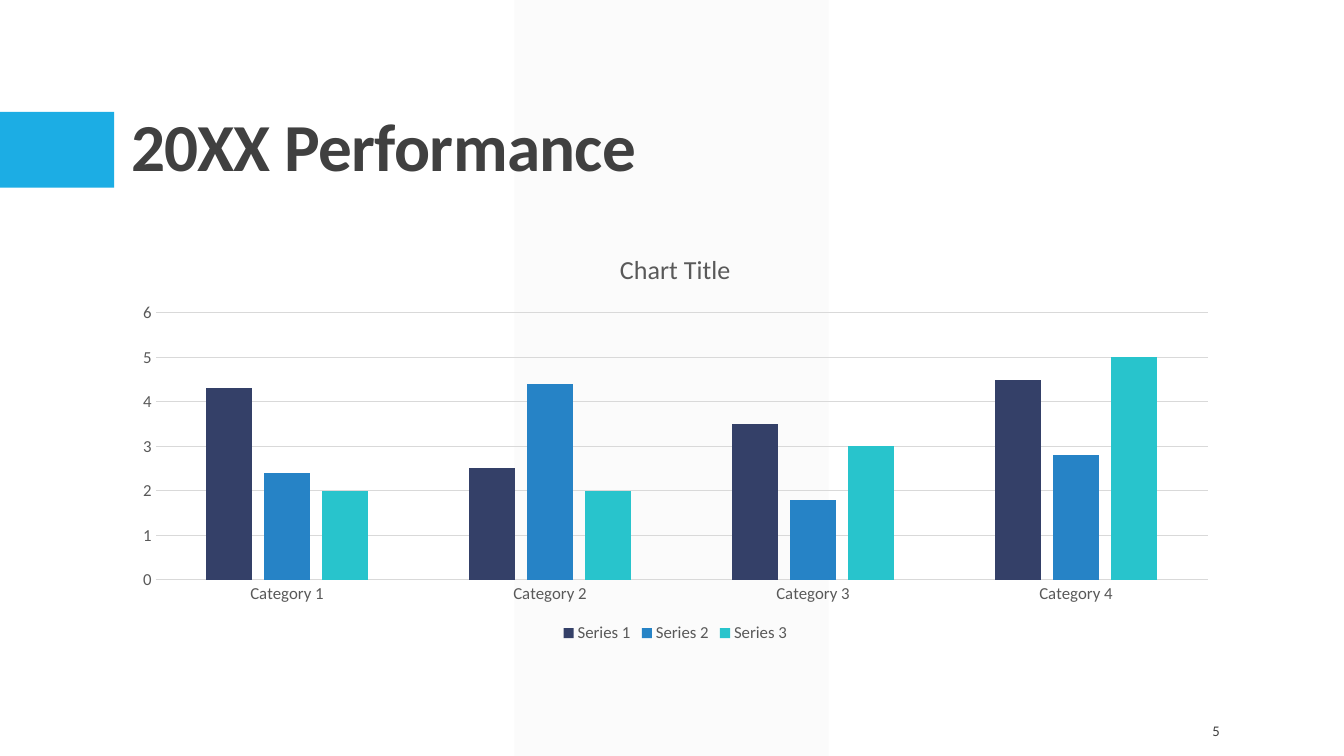
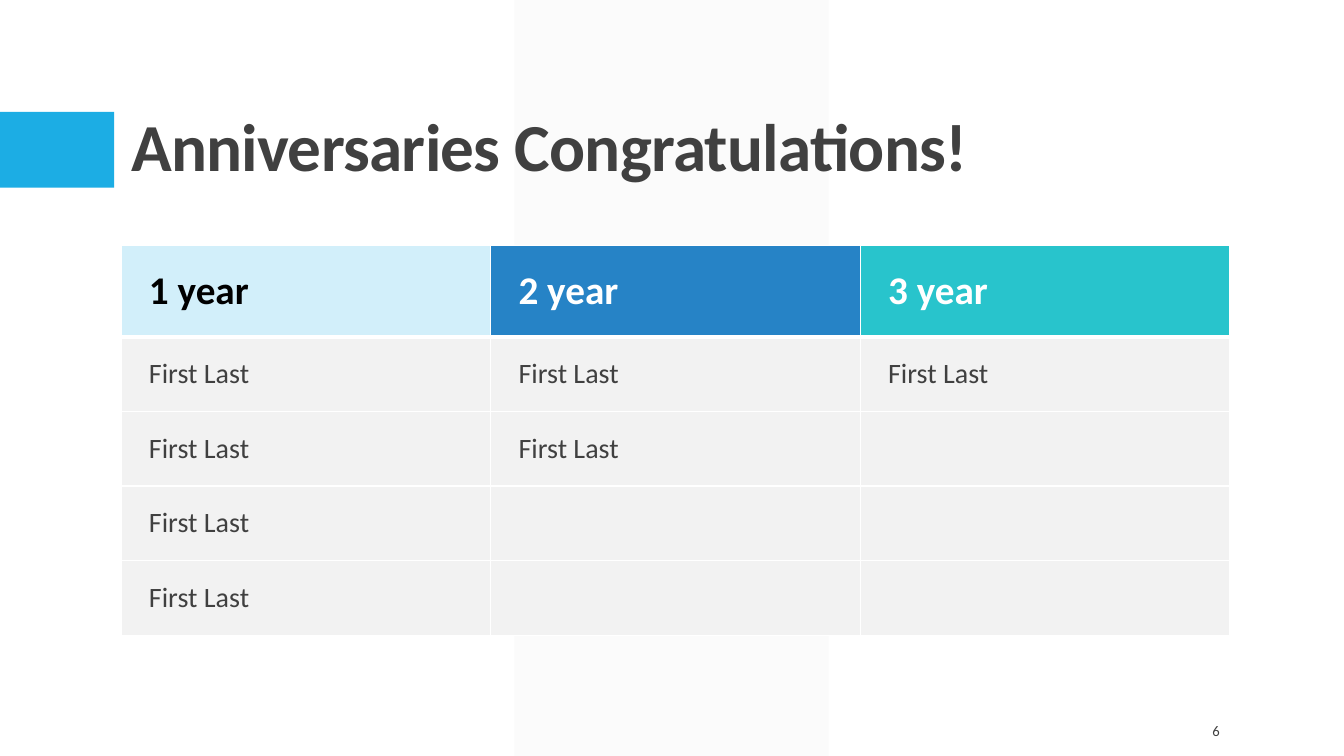
from collections import namedtuple
from dataclasses import dataclass

from lxml.etree import SubElement
from pptx import Presentation
from pptx.chart.data import CategoryChartData
from pptx.dml.color import RGBColor
from pptx.enum.chart import XL_CHART_TYPE as ChartType
from pptx.enum.chart import XL_LEGEND_POSITION as LegendPosition
from pptx.enum.chart import XL_TICK_MARK as TickMark
from pptx.enum.shapes import MSO_SHAPE as Preset
from pptx.enum.text import MSO_ANCHOR as Anchor
from pptx.enum.text import MSO_AUTO_SIZE as AutoSize
from pptx.enum.text import PP_ALIGN as Align
from pptx.oxml import parse_xml
from pptx.oxml.ns import nsdecls, qn
from pptx.util import Pt

Box = namedtuple("Box", "left top width height")


@dataclass(frozen=True)
class Theme:
    """Colours, font and type sizes shared by all slides."""

    font: str = "Calibri"
    ink: str = "404040"
    muted: str = "595959"
    rule: str = "D9D9D9"
    white: str = "FFFFFF"
    black: str = "000000"
    panel: str = "F2F2F2"
    accent: str = "1CADE4"
    pale: str = "D2EFFA"
    navy: str = "344068"
    blue: str = "2683C6"
    teal: str = "28C4CC"
    title_size: float = 48
    header_size: float = 28
    body_size: float = 20
    chart_title_size: float = 18.6
    chart_size: float = 12
    number_size: float = 10.5


THEME = Theme()
SLIDE = Box(0, 0, 960, 540)
BAND = Box(367.5, 0, 224.5, 540)
TAB = Box(0, 80, 81.5, 54)
TITLE = Box(86.4, 22.3, 792, 114.5)
CHART = Box(86.4, 166.3, 792, 296)
TABLE = Box(86.4, 175.2, 792, 278.6)
NUMBER = Box(817.2, 507.6, 61.2, 28.8)

CATEGORIES = ["Category 1", "Category 2", "Category 3", "Category 4"]
SERIES = [
    ("Series 1", (4.3, 2.5, 3.5, 4.5), THEME.navy),
    ("Series 2", (2.4, 4.4, 1.8, 2.8), THEME.blue),
    ("Series 3", (2, 2, 3, 5), THEME.teal),
]
ANNIVERSARIES = [
    ("1 year", THEME.pale, THEME.black, ["First Last"] * 4),
    ("2 year", THEME.blue, THEME.white, ["First Last"] * 2),
    ("3 year", THEME.teal, THEME.white, ["First Last"]),
]


def points(box):
    """Convert a box to lengths in points."""
    return [Pt(length) for length in box]


def style_font(font, size, color, bold=False):
    """Apply the theme font with a size and colour."""
    font.name = THEME.font
    font.size = Pt(size)
    font.bold = bold
    font.color.rgb = RGBColor.from_string(color)


def paint(fill, color):
    """Make a fill solid."""
    fill.solid()
    fill.fore_color.rgb = RGBColor.from_string(color)


def add_run(paragraph, text, size, color, bold=False):
    """Append one formatted run."""
    run = paragraph.add_run()
    run.text = text
    style_font(run.font, size, color, bold)
    return run


def add_block(slide, box, color, opacity=100):
    """Add a plain rectangle, optionally translucent."""
    block = slide.shapes.add_shape(Preset.RECTANGLE, *points(box))
    block.shadow.inherit = False
    block.line.fill.background()
    paint(block.fill, color)
    if opacity < 100:
        swatch = block.fill._xPr.find(".//" + qn("a:srgbClr"))
        SubElement(swatch, qn("a:alpha")).set("val", str(opacity * 1000))


def place_title(slide, box, text):
    """Format the title placeholder and bring it in front of the bands."""
    title = slide.shapes.title
    title.left, title.top, title.width, title.height = points(box)
    slide.shapes._spTree.append(title._element)
    frame = title.text_frame
    frame.auto_size = AutoSize.NONE
    frame.word_wrap = True
    frame.vertical_anchor = Anchor.BOTTOM
    paragraph = frame.paragraphs[0]
    paragraph.alignment = Align.LEFT
    paragraph.line_spacing = 0.9
    run = add_run(paragraph, text, THEME.title_size, THEME.ink, True)
    run.font._element.set("spc", "-50")


def add_number(slide, box, number):
    """Add the slide number at the right of its box."""
    frame = slide.shapes.add_textbox(*points(box)).text_frame
    frame.word_wrap = True
    frame.vertical_anchor = Anchor.MIDDLE
    paragraph = frame.paragraphs[0]
    paragraph.alignment = Align.RIGHT
    add_run(paragraph, str(number), THEME.number_size, THEME.ink)


def add_titled_slide(presentation, title, number):
    """Add a slide with the shared bands, title and number."""
    slide = presentation.slides.add_slide(presentation.slide_layouts[5])
    paint(slide.background.fill, THEME.white)
    add_block(slide, BAND, THEME.panel, opacity=30)
    add_block(slide, TAB, THEME.accent)
    place_title(slide, TITLE, title)
    add_number(slide, NUMBER, number)
    return slide


def style_line(line, color):
    """Apply a thin chart line."""
    line.width = Pt(0.75)
    line.color.rgb = RGBColor.from_string(color)


def add_performance_chart(slide, box):
    """Add the clustered column chart."""
    data = CategoryChartData()
    data.categories = CATEGORIES
    for name, values, _ in SERIES:
        data.add_series(name, values)
    chart = slide.shapes.add_chart(
        ChartType.COLUMN_CLUSTERED, *points(box), data
    ).chart
    style_font(chart.font, THEME.chart_size, THEME.muted)
    chart.has_title = True
    heading = chart.chart_title.text_frame.paragraphs[0]
    add_run(heading, "Chart Title", THEME.chart_title_size, THEME.muted)
    chart.chart_title.include_in_layout = False
    chart.has_legend = True
    chart.legend.position = LegendPosition.BOTTOM
    chart.legend.include_in_layout = False
    style_font(chart.legend.font, THEME.chart_size, THEME.muted)

    for axis in (chart.category_axis, chart.value_axis):
        axis.major_tick_mark = axis.minor_tick_mark = TickMark.NONE
        style_font(axis.tick_labels.font, THEME.chart_size, THEME.muted)
    style_line(chart.category_axis.format.line, THEME.rule)
    scale = chart.value_axis
    scale.minimum_scale, scale.maximum_scale, scale.major_unit = 0, 6, 1
    scale.format.line.fill.background()
    style_line(scale.major_gridlines.format.line, THEME.rule)

    plot = chart.plots[0]
    plot.vary_by_categories = False
    plot.gap_width, plot.overlap = 219, -27
    for series, (_, _, color) in zip(plot.series, SERIES):
        paint(series.format.fill, color)


def set_borders(cell, top, bottom):
    """Draw white borders around a cell."""
    sides = {"lnL": 1, "lnR": 1, "lnT": top, "lnB": bottom}
    properties = cell._tc.get_or_add_tcPr()
    for position, (side, width) in enumerate(sides.items()):
        border = parse_xml(
            f'<a:{side} {nsdecls("a")} w="{Pt(width)}"><a:solidFill>'
            f'<a:srgbClr val="{THEME.white}"/></a:solidFill></a:{side}>'
        )
        properties.insert(position, border)


def fill_cell(cell, text, fill, size, color, bold):
    """Set the fill, margins and text of one cell."""
    paint(cell.fill, fill)
    cell.vertical_anchor = Anchor.MIDDLE
    cell.margin_left = cell.margin_right = Pt(20)
    cell.margin_top = cell.margin_bottom = Pt(6)
    if text:
        add_run(cell.text_frame.paragraphs[0], text, size, color, bold)


def add_anniversary_table(slide, box):
    """Add the table with one column for each anniversary."""
    row_count = 1 + max(len(names) for *_, names in ANNIVERSARIES)
    header_height = 65.4
    row_height = (box.height - header_height) / (row_count - 1)
    table = slide.shapes.add_table(
        row_count, len(ANNIVERSARIES), *points(box)
    ).table
    for row in range(row_count):
        table.rows[row].height = Pt(row_height if row else header_height)
    for column, (label, fill, color, names) in enumerate(ANNIVERSARIES):
        table.columns[column].width = Pt(box.width / len(ANNIVERSARIES))
        header = table.cell(0, column)
        fill_cell(header, label, fill, THEME.header_size, color, True)
        set_borders(header, 1, 3)
        for row in range(1, row_count):
            cell = table.cell(row, column)
            name = names[row - 1] if row <= len(names) else ""
            fill_cell(cell, name, THEME.panel, THEME.body_size, THEME.ink, False)
            set_borders(cell, 3 if row == 1 else 1, 1)


def main():
    """Build and save the presentation."""
    presentation = Presentation()
    presentation.slide_width = Pt(SLIDE.width)
    presentation.slide_height = Pt(SLIDE.height)
    performance = add_titled_slide(presentation, "20XX Performance", 5)
    add_performance_chart(performance, CHART)
    anniversaries = add_titled_slide(
        presentation, "Anniversaries Congratulations!", 6
    )
    add_anniversary_table(anniversaries, TABLE)
    presentation.save("out.pptx")


if __name__ == "__main__":
    main()
